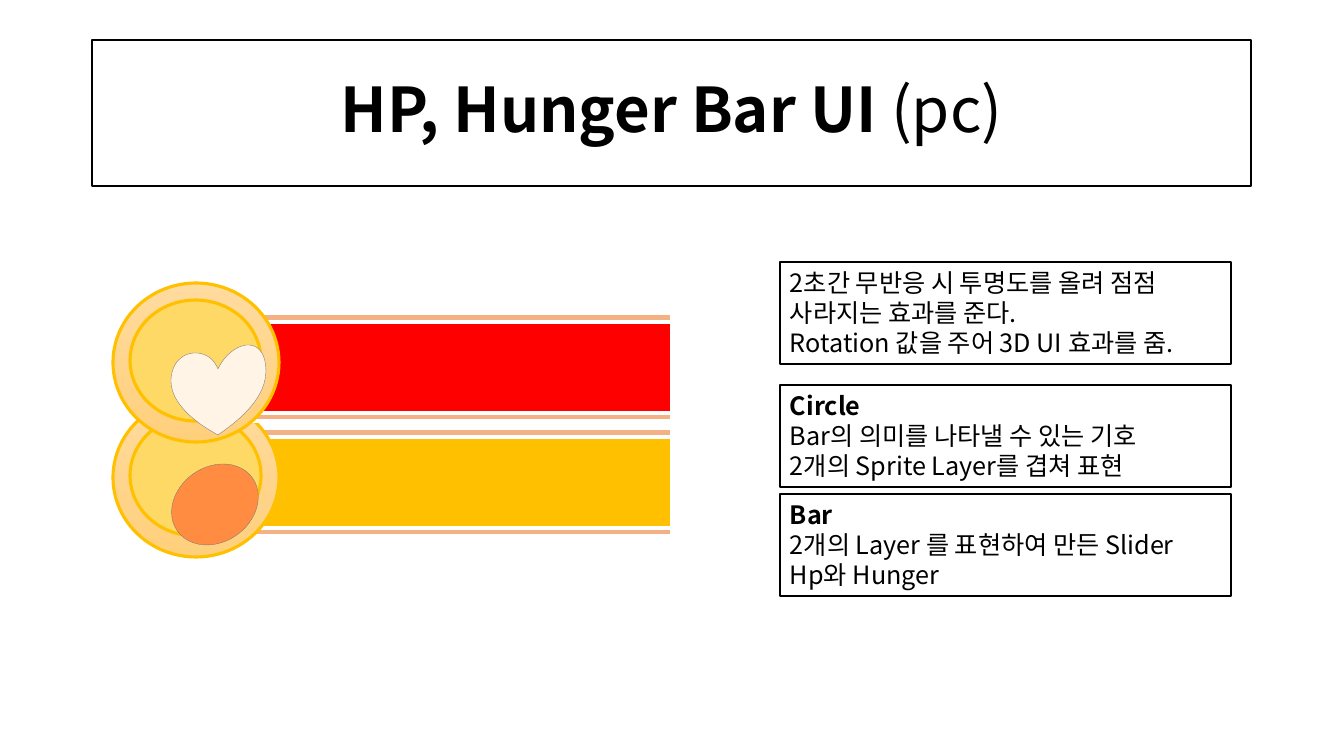
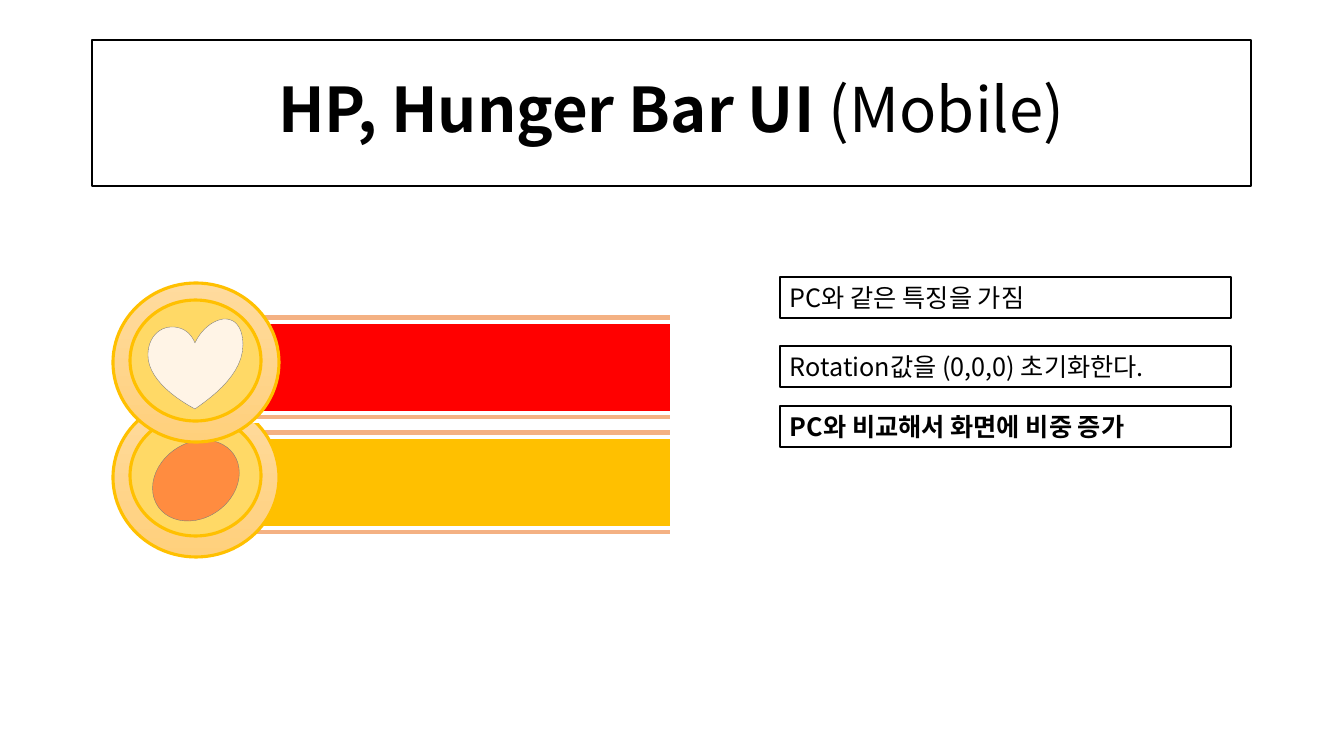
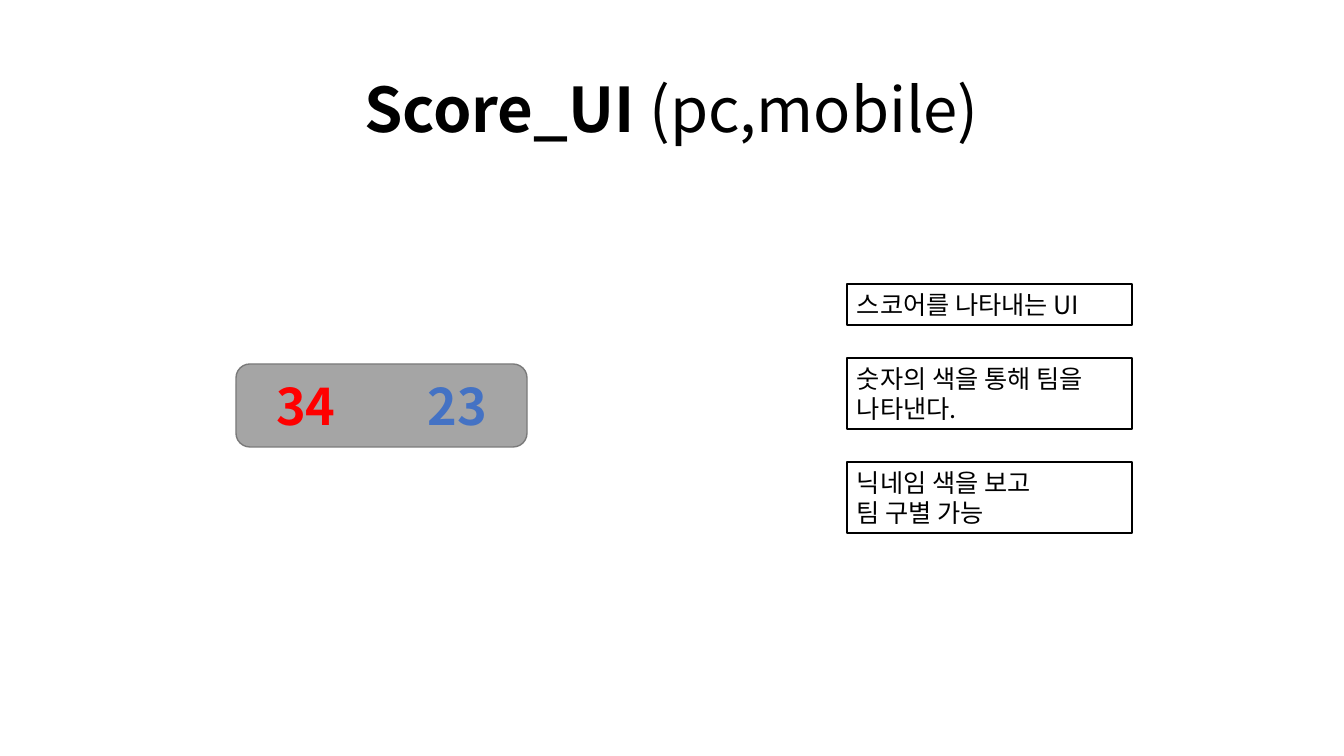
from math import cos, pi, sin
from pptx import Presentation
from pptx.dml.color import RGBColor
from pptx.enum.shapes import MSO_SHAPE
from pptx.enum.text import MSO_ANCHOR, PP_ALIGN
from pptx.oxml.ns import qn
from pptx.util import Pt

FONT = "Noto Sans CJK KR"
BLACK, WHITE, GOLD = "000000", "FFFFFF", "FFC000"
RED, BLUE, GREY, EDGE = "FF0000", "4472C4", "A5A5A5", "7A7A7A"
RAIL, DISC, CREAM, ORANGE = "F4B183", "FFD966", "FFF4E6", "FF8C40"
RIM = ("FFDB9E", "FFD07C")
SCALE = 914400 / 100.8

# Each note: top, height, lines of (text, bold)
SLIDES = [
    dict(title="HP, Hunger Bar UI ", kind="(pc)", frame=True,
         heart=(218, 390), ball=(215, 504), notes_at=(780, 451), notes=[
             (262, 102, [("2초간 무반응 시 투명도를 올려 점점 사라지는 효과를 준다.", False),
                         ("Rotation 값을 주어 3D UI 효과를 줌.", False)]),
             (385, 102, [("Circle", True),
                         ("Bar의 의미를 나타낼 수 있는 기호", False),
                         ("2개의 Sprite Layer를 겹쳐 표현", False)]),
             (494, 102, [("Bar", True),
                         ("2개의 Layer 를 표현하여 만든 Slider", False),
                         ("Hp와 Hunger", False)])]),
    dict(title="HP, Hunger Bar UI ", kind="(Mobile)", frame=True,
         heart=(195, 364), ball=(196, 480), notes_at=(780, 451), notes=[
             (277, 41, [("PC와 같은 특징을 가짐", False)]),
             (346, 41, [("Rotation값을 (0,0,0) 초기화한다.", False)]),
             (406, 41, [("PC와 비교해서 화면에 비중 증가", True)])]),
    dict(title="Score_UI ", kind="(pc,mobile)", frame=False,
         score=[("34\t\t", True, RED), ("23", True, BLUE)],
         notes_at=(847, 285), notes=[
             (284, 41, [("스코어를 나타내는 UI", False)]),
             (358, 71, [("숫자의 색을 통해 팀을 나타낸다.", False)]),
             (462, 71, [("닉네임 색을 보고\v팀 구별 가능", False)])]),
]

# Bezier segments around the heart's centre: two controls and an end
HEART_START = (0, -21)
HEART = [((8, -38), (22, -45), (30, -45)), ((42, -45), (48, -34), (48, -19)),
         ((48, 8), (22, 30), (0, 45)), ((-26, 31), (-47, 12), (-47, -9)),
         ((-47, -26), (-36, -37), (-23, -37)), ((-12, -37), (-4, -31), (0, -21))]


def px(n):
    return round(n * SCALE)


def rgb(code):
    return RGBColor.from_string(code)


def paint(shape, fill, line, width):
    shape.shadow.inherit = False
    if fill is None:
        shape.fill.background()
    elif isinstance(fill, tuple):
        shape.fill.gradient()
        shape.fill.gradient_angle = 270
        for stop, code in zip(shape.fill.gradient_stops, fill):
            stop.color.rgb = rgb(code)
    else:
        shape.fill.solid()
        shape.fill.fore_color.rgb = rgb(fill)
    if line is None:
        shape.line.fill.background()
    else:
        shape.line.color.rgb = rgb(line)
        shape.line.width = Pt(width)


def draw(slide, kind, box, fill, line, width=1):
    shape = slide.shapes.add_shape(kind, *map(px, box))
    paint(shape, fill, line, width)
    return shape


def write(shape, paras, size, align=PP_ALIGN.LEFT, anchor=MSO_ANCHOR.MIDDLE,
          space=1.0):
    """Fill a shape with paragraphs, each a list of (text, bold, colour)."""
    frame = shape.text_frame
    frame.word_wrap = True
    frame.vertical_anchor = anchor
    for i, spans in enumerate(paras):
        para = frame.paragraphs[0] if i == 0 else frame.add_paragraph()
        para.alignment = align
        para.line_spacing = space
        for text, bold, code in spans:
            para.text = text if not para.runs else para.text
            if para.runs[-1].text != text and "\v" not in text:
                para.add_run().text = text
        styles = spans if len(spans) > 1 else spans * len(para.runs)
        for run, (_, bold, code) in zip(para.runs, styles):
            font = run.font
            font.name, font.size, font.bold = FONT, Pt(size), bold
            font.color.rgb = rgb(code)
            face = font._element.makeelement(qn("a:ea"), {"typeface": FONT})
            font._element.find(qn("a:latin")).addnext(face)


def add_heart(slide, x, y):
    points, start = [], HEART_START
    for a, b, end in HEART:
        for step in range(1, 13):
            t = step / 12
            u = 1 - t
            points.append(tuple(
                px(o + u**3 * p + 3 * u * u * t * q + 3 * u * t * t * r + t**3 * s)
                for o, p, q, r, s in zip((x, y), start, a, b, end)))
        start = end
    path = slide.shapes.build_freeform(*points[-1])
    path.add_line_segments(points[:-1], close=True)
    paint(path.convert_to_shape(), CREAM, EDGE, 0.25)


def add_ball(slide, x, y):
    ball = draw(slide, MSO_SHAPE.OVAL, (x - 46, y - 37, 92, 75), ORANGE, EDGE, 0.25)
    ball.rotation = -35


def add_bar(slide, top, code):
    rect, oval = MSO_SHAPE.RECTANGLE, MSO_SHAPE.OVAL
    for kind, (x, y, w, h), fill, line in [
            (rect, (211, 30, 461, 108), RAIL, WHITE),
            (rect, (261, 39, 411, 91), code, WHITE),
            (oval, (113, 0, 166, 159), RIM, GOLD),
            (oval, (130, 17, 131, 121), DISC, GOLD)]:
        draw(slide, kind, (x, top + y, w, h), fill, line, 2.25)


def add_slide(deck, data):
    slide = deck.slides.add_slide(deck.slide_layouts[6])
    if "heart" in data:
        add_bar(slide, 398, GOLD)
        add_ball(slide, *data["ball"])
        add_bar(slide, 283, RED)
        add_heart(slide, *data["heart"])
    else:
        panel = draw(slide, MSO_SHAPE.ROUNDED_RECTANGLE, (236, 364, 291, 83),
                     GREY, EDGE)
        write(panel, [data["score"]], 36, PP_ALIGN.CENTER)
    title = draw(slide, MSO_SHAPE.RECTANGLE, (92, 40, 1159, 146), None,
                 BLACK if data["frame"] else None)
    write(title, [[(data["title"], True, BLACK), (data["kind"], False, BLACK)]],
          44, PP_ALIGN.CENTER, space=0.9)
    left, wide = data["notes_at"]
    for top, high, lines in data["notes"]:
        note = draw(slide, MSO_SHAPE.RECTANGLE, (left, top, wide, high), WHITE, BLACK)
        write(note, [[(text, bold, BLACK)] for text, bold in lines], 18,
              anchor=MSO_ANCHOR.TOP)


def main():
    deck = Presentation()
    deck.slide_width, deck.slide_height = px(1344), px(756)
    for data in SLIDES:
        add_slide(deck, data)
    deck.save("out.pptx")


if __name__ == "__main__":
    main()
